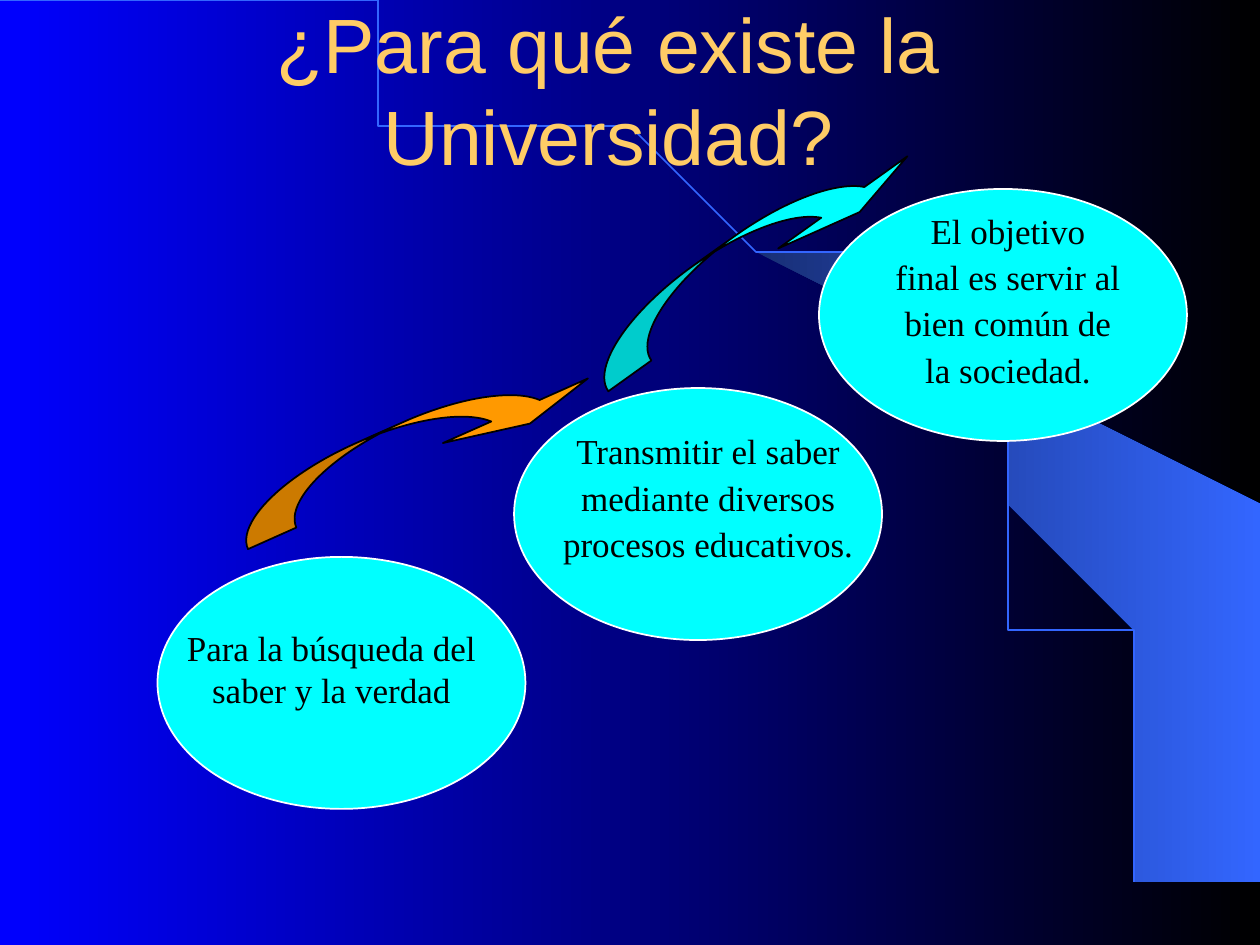
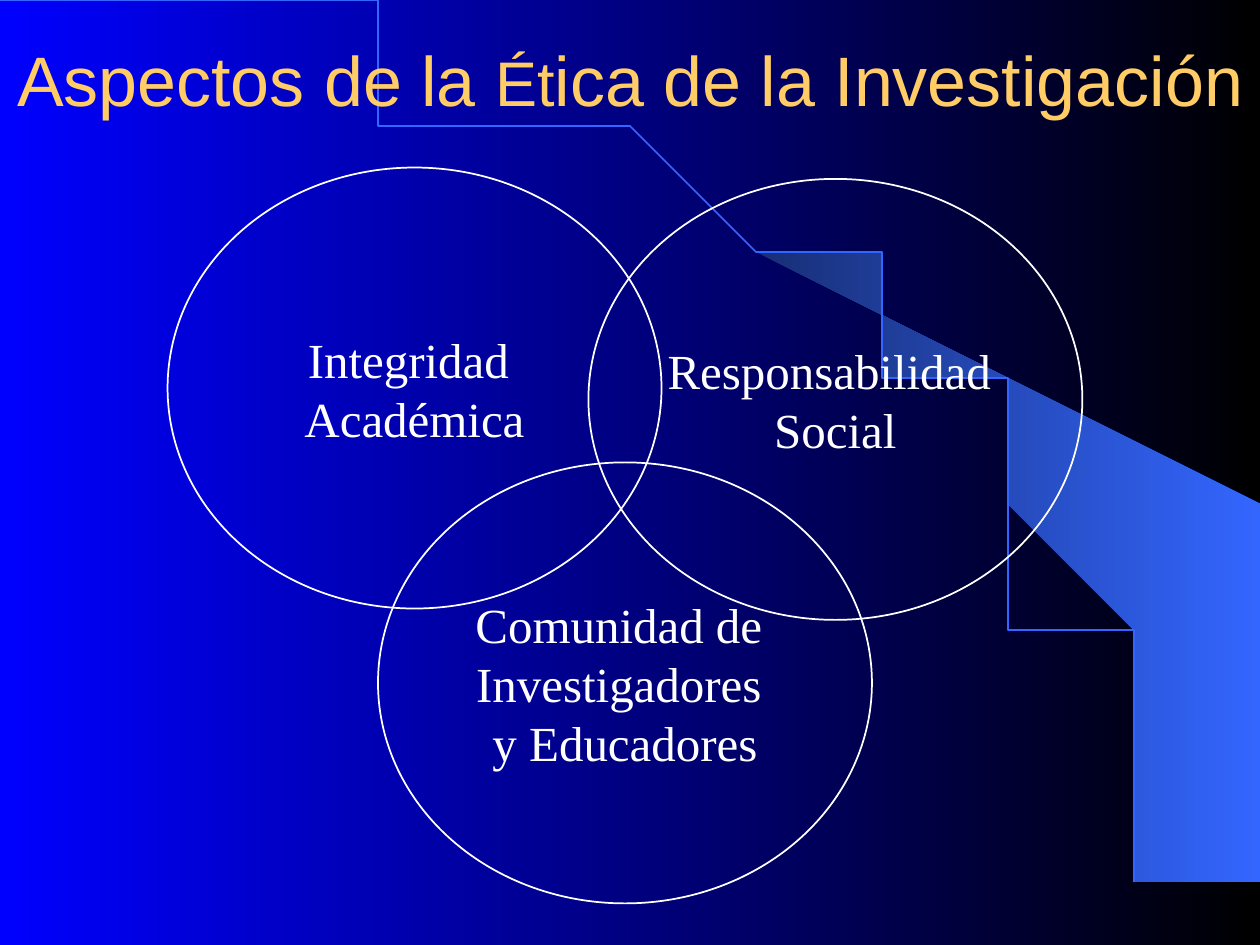
from dataclasses import dataclass

from pptx import Presentation
from pptx.dml.color import RGBColor
from pptx.enum.shapes import MSO_SHAPE
from pptx.enum.text import MSO_ANCHOR, PP_ALIGN
from pptx.util import Inches, Pt

ELLIPSE = MSO_SHAPE.OVAL
CURVED_ARROW = MSO_SHAPE.CURVED_DOWN_ARROW
CENTER = PP_ALIGN.CENTER
MIDDLE = MSO_ANCHOR.MIDDLE
TOP = MSO_ANCHOR.TOP
BLANK_LAYOUT = 6


@dataclass(frozen=True)
class Theme:
    """Colours, fonts and sizes shared by the slides."""

    blue: str = "0000FF"
    black: str = "000000"
    white: str = "FFFFFF"
    gold: str = "FFCC66"
    cyan: str = "00FFFF"
    orange: str = "FF9900"
    beam_dark: str = "182F76"
    beam_light: str = "3366FF"
    title_font: str = "Arial"
    body_font: str = "Times New Roman"
    title_large: int = 44
    title_medium: int = 40
    title_small: int = 36
    purpose_size: int = 20
    aspect_size: int = 28
    outline: int = 1


THEME = Theme()

HORIZON = [(0, 0), (5.08, 0), (9.2, 3.35), (9.2, 7.49)]
BEAM = [
    (9.2, 7.48), (9.99, 7.49), (9.99, 4.23), (5.89, 1.73), (6.24, 1.99),
    (6.53, 2.22), (6.85, 2.5), (7.16, 2.8), (7.62, 3.3), (8.03, 3.84),
    (8.32, 4.31), (8.58, 4.79), (8.78, 5.28), (8.93, 5.72), (9.03, 6.09),
    (9.13, 6.56), (9.17, 6.96),
]


def rgb(color):
    """Turn a hex string into a colour."""
    return RGBColor.from_string(color)


def fill_gradient(fill, start, end):
    """Fill from left to right with two colours."""
    fill.gradient()
    fill.gradient_angle = 0
    for stop, color in zip(fill.gradient_stops, (start, end)):
        stop.color.rgb = rgb(color)


def style_shape(shape, fill=None, line=None):
    """Set fill and outline, leaving out whichever is not given."""
    shape.shadow.inherit = False
    if fill:
        shape.fill.solid()
        shape.fill.fore_color.rgb = rgb(fill)
    else:
        shape.fill.background()
    if line:
        shape.line.color.rgb = rgb(line)
        shape.line.width = Pt(THEME.outline)
    else:
        shape.line.fill.background()


def add_outline(slide, points, close):
    """Draw a freeform through points in inches."""
    builder = slide.shapes.build_freeform(*points[0], scale=Inches(1))
    builder.add_line_segments(points[1:], close=close)
    return builder.convert_to_shape()


def curve_points(controls, steps=80):
    """Sample a cubic curve at equal parameter steps."""
    points = []
    for step in range(steps + 1):
        t = step / steps
        weights = ((1 - t) ** 3, 3 * t * (1 - t) ** 2, 3 * t * t * (1 - t), t ** 3)
        points.append(tuple(sum(w * p[axis] for w, p in zip(weights, controls))
                            for axis in (0, 1)))
    return points


def write_text(shape, paragraphs, font, color, anchor=TOP, wrap=True,
               space_before=0, line_spacing=1.0):
    """Write centred paragraphs, each a list of (text, size) runs."""
    frame = shape.text_frame
    frame.word_wrap = wrap
    frame.vertical_anchor = anchor
    for index, runs in enumerate(paragraphs):
        paragraph = frame.paragraphs[0] if index == 0 else frame.add_paragraph()
        paragraph.alignment = CENTER
        paragraph.space_before = Pt(space_before)
        paragraph.line_spacing = line_spacing
        for text, size in runs:
            run = paragraph.add_run()
            run.text = text
            run.font.name = font
            run.font.size = Pt(size)
            run.font.color.rgb = rgb(color)


def add_base_slide(prs, title_box, title_runs):
    """Add a slide with the night gradient, light beam, horizon and title."""
    slide = prs.slides.add_slide(prs.slide_layouts[BLANK_LAYOUT])
    fill_gradient(slide.background.fill, THEME.blue, THEME.black)
    beam = add_outline(slide, BEAM, close=True)
    style_shape(beam)
    fill_gradient(beam.fill, THEME.beam_dark, THEME.beam_light)
    horizon = add_outline(slide, curve_points(HORIZON), close=False)
    style_shape(horizon, line=THEME.beam_light)
    title = slide.shapes.add_textbox(*map(Inches, title_box))
    write_text(title, [title_runs], THEME.title_font, THEME.gold, anchor=MIDDLE)
    return slide


def add_ellipse(slide, box, fill=None):
    """Add a white-edged ellipse."""
    ellipse = slide.shapes.add_shape(ELLIPSE, *map(Inches, box))
    style_shape(ellipse, fill, THEME.white)
    return ellipse


def add_purpose_text(slide, box, text, space_before, line_spacing):
    """Add the wording that lies over a purpose ellipse."""
    label = slide.shapes.add_textbox(*map(Inches, box))
    write_text(label, [[(text, THEME.purpose_size)]], THEME.body_font, THEME.black,
               space_before=space_before, line_spacing=line_spacing)


def add_step_arrow(slide, box, rotation, color):
    """Add a tilted ribbon arrow leading to the next purpose."""
    arrow = slide.shapes.add_shape(CURVED_ARROW, *map(Inches, box))
    arrow.rotation = rotation
    for index, value in enumerate((1.5, 3, 1 / 3)):
        arrow.adjustments[index] = value
    style_shape(arrow, color, THEME.black)


def build_purposes(prs):
    """Build the rising steps of the university's purpose."""
    slide = add_base_slide(prs, (0.58, 0.08, 8.5, 1.25),
                           [("¿Para qué existe la Universidad?", THEME.title_large)])
    for left, top in ((1.25, 4.42), (4.08, 3.08), (6.5, 1.5)):
        add_ellipse(slide, (left, top, 2.92, 2), THEME.cyan)
    purposes = [
        ((1.17, 4.92, 2.92, 0.77), "Para la búsqueda del saber y la verdad", 12.5, 1.0),
        ((4.08, 3.33, 3.08, 1.71),
         "Transmitir el saber mediante diversos procesos educativos.", 5, 1.1),
        ((7, 1.58, 2, 2.08),
         "El objetivo final es servir al bien común de la sociedad.", 5, 1.1),
    ]
    for purpose in purposes:
        add_purpose_text(slide, *purpose)
    for left, top, rotation, color in ((1.75, 3.33, 336, THEME.orange),
                                       (4.42, 1.83, 324.5, THEME.cyan)):
        add_step_arrow(slide, (left, top, 3.08, 0.42), rotation, color)


def build_aspects(prs):
    """Build the three overlapping aspects of research ethics."""
    slide = add_base_slide(prs, (0, 0, 10, 1.25), [
        ("Aspectos de la ", THEME.title_medium),
        ("Ét", THEME.title_small),
        ("ica de la Investigación", THEME.title_medium),
    ])
    aspects = [
        (1.33, 1.33, ["Integridad ", "Académica"]),
        (4.67, 1.42, ["Responsabilidad ", "Social"]),
        (3, 3.67, ["Comunidad de ", "Investigadores ", "y Educadores"]),
    ]
    for left, top, lines in aspects:
        circle = add_ellipse(slide, (left, top, 3.92, 3.5))
        write_text(circle, [[(line, THEME.aspect_size)] for line in lines],
                   THEME.body_font, THEME.white, anchor=MIDDLE, wrap=False)


def main():
    """Build and save the presentation."""
    prs = Presentation()
    prs.slide_width = Inches(10)
    prs.slide_height = Inches(7.5)
    build_purposes(prs)
    build_aspects(prs)
    prs.save("out.pptx")


if __name__ == "__main__":
    main()
